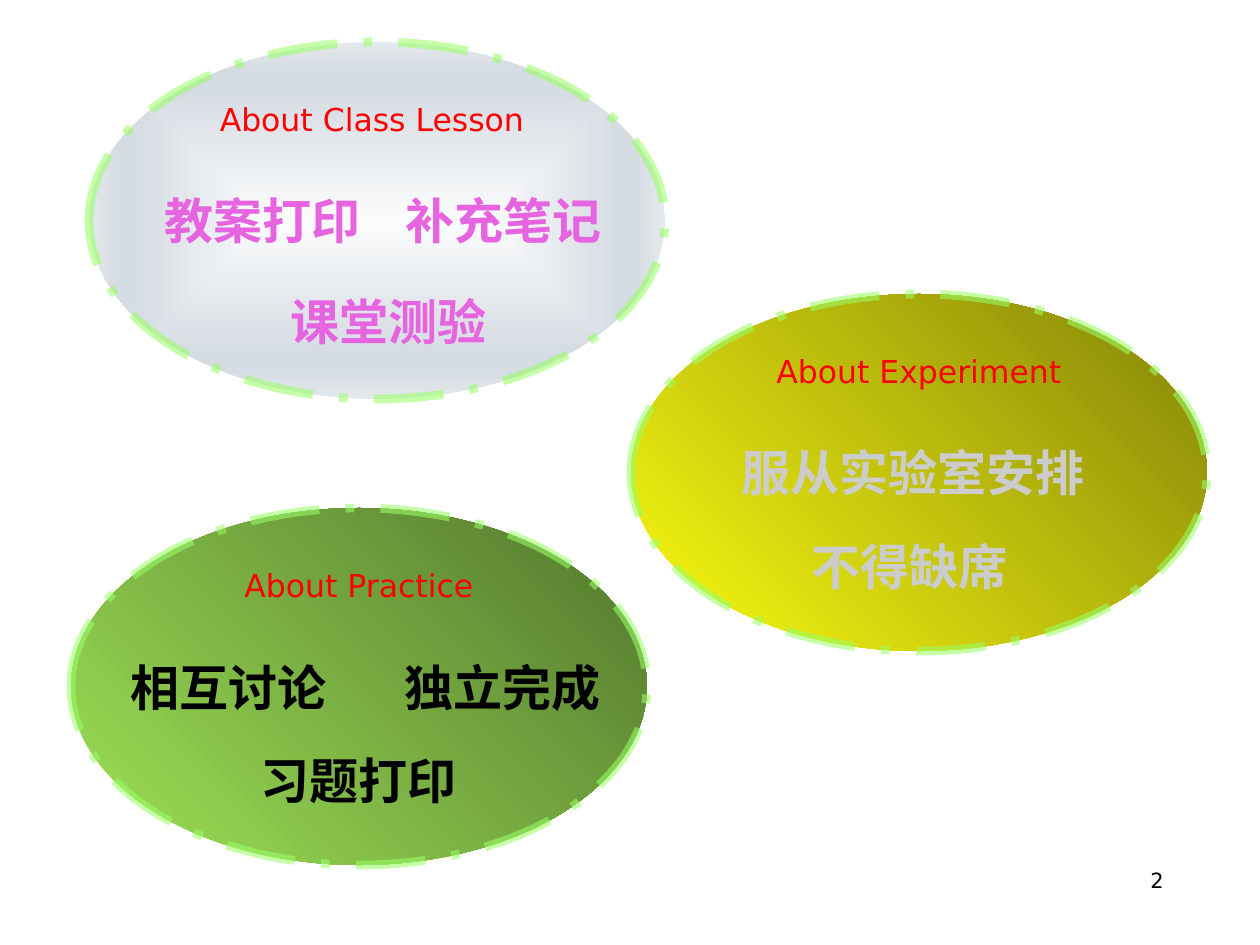
"""Build a slide of three labelled ovals about lessons, experiments and practice."""
from dataclasses import dataclass

from lxml.etree import SubElement
from pptx import Presentation
from pptx.dml.color import RGBColor
from pptx.enum.dml import MSO_LINE
from pptx.enum.shapes import MSO_SHAPE
from pptx.enum.text import MSO_ANCHOR as Anchor, PP_ALIGN as Align
from pptx.oxml import parse_xml
from pptx.oxml.ns import nsdecls, qn
from pptx.util import Pt

PX = 914400 / 126


@dataclass(frozen=True)
class Theme:
    latin: str = "DejaVu Sans"
    asian: str = "Noto Sans CJK SC"
    title_size: int = 18
    body_size: int = 28
    number_size: int = 12
    title: str = "FF0000"
    black: str = "000000"
    pink: str = "E664E0"
    grey: str = "CCCCCC"
    outline: str = "99FF66"
    outline_width: int = 5
    outline_alpha: int = 57
    green: tuple = ((0, "9EE256"), (100, "52762D"))
    silver: tuple = ((0, "FAFBFC"), (74, "D6DCE3"), (83, "D6DCE3"), (100, "E3E8EC"))
    yellow: tuple = ((0, "FBFB11"), (100, "838309"))
    diagonal: str = '<a:lin ang="18900000" scaled="0"/>'
    centred: str = '<a:path path="rect"><a:fillToRect l="50000" t="50000" r="50000" b="50000"/></a:path>'


theme = Theme()


def px(*lengths):
    return [round(length * PX) for length in lengths]


def write(shape, text, size, color, align=Align.CENTER, anchor=Anchor.TOP, bold=False):
    frame = shape.text_frame
    frame.word_wrap = True
    frame.vertical_anchor = anchor
    paragraph = frame.paragraphs[0]
    paragraph.text = text
    paragraph.alignment = align
    font = paragraph.font
    font.size = Pt(size)
    font.bold = bold
    font.color.rgb = RGBColor.from_string(color)
    font.name = theme.latin
    SubElement(font._element, qn("a:ea"), typeface=theme.asian)


presentation = Presentation()
presentation.slide_width, presentation.slide_height = px(1260, 945)
slide = presentation.slides.add_slide(presentation.slide_layouts[6])

number = slide.shapes.add_textbox(*px(903, 861, 273, 66))
write(number, "2", theme.number_size, theme.black, Align.RIGHT)

OVAL_SIZE = (576, 357)
LABEL_HEIGHT = 72
topics = [
    ("About Practice", (71, 508), theme.green, theme.diagonal, theme.black,
     [("相互讨论", 103, 651, 251), ("独立完成", 377, 651, 251), ("习题打印", 233, 744, 251)]),
    ("About Class Lesson ", (89, 42), theme.silver, theme.centred, theme.pink,
     [("课堂测验", 263, 285, 251), ("教案打印", 137, 184, 251), ("补充笔记", 378, 184, 251)]),
    ("About Experiment", (631, 294), theme.yellow, theme.diagonal, theme.grey,
     [("服从实验室安排", 664, 436, 498), ("不得缺席", 784, 530, 251)]),
]

for title, corner, stops, direction, color, labels in topics:
    group = slide.shapes.add_group_shape()
    oval = group.shapes.add_shape(MSO_SHAPE.OVAL, *px(*corner, *OVAL_SIZE))
    oval.shadow.inherit = False
    oval.fill.background()
    stop_xml = "".join(
        f'<a:gs pos="{position * 1000}"><a:srgbClr val="{stop}"/></a:gs>'
        for position, stop in stops
    )
    gradient = parse_xml(
        f'<a:gradFill {nsdecls("a")} rotWithShape="1">'
        f"<a:gsLst>{stop_xml}</a:gsLst>{direction}</a:gradFill>"
    )
    properties = oval._element.spPr
    properties.replace(properties.find(qn("a:noFill")), gradient)

    oval.line.width = Pt(theme.outline_width)
    oval.line.color.rgb = RGBColor.from_string(theme.outline)
    oval.line.dash_style = MSO_LINE.LONG_DASH_DOT
    outline_color = properties.find(qn("a:ln")).find(".//" + qn("a:srgbClr"))
    SubElement(outline_color, qn("a:alpha"), val=str(theme.outline_alpha * 1000))
    write(oval, title, theme.title_size, theme.title)

    for text, left, top, width in labels:
        label = group.shapes.add_textbox(*px(left, top, width, LABEL_HEIGHT))
        write(label, text, theme.body_size, color, anchor=Anchor.MIDDLE, bold=True)

presentation.save("out.pptx")
